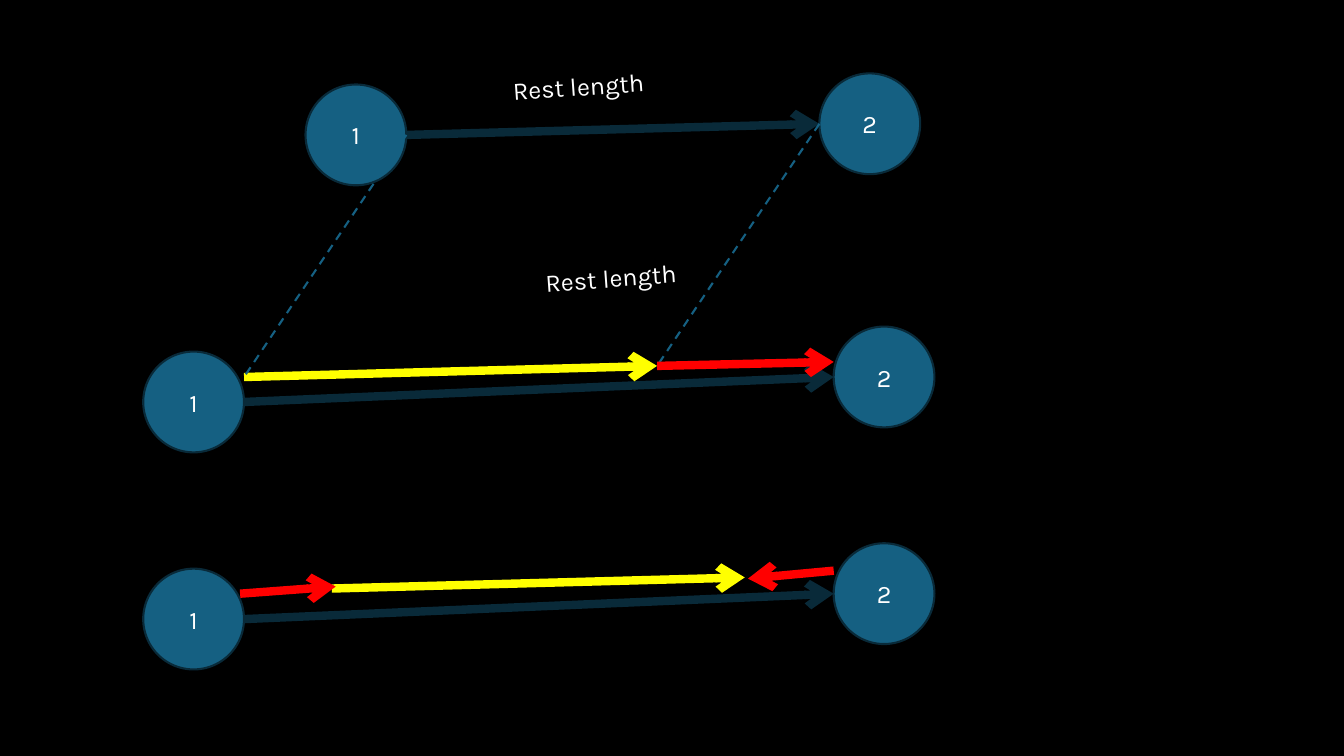
from lxml.etree import SubElement
from pptx import Presentation
from pptx.dml.color import RGBColor
from pptx.enum.dml import MSO_LINE
from pptx.enum.shapes import MSO_CONNECTOR, MSO_SHAPE
from pptx.enum.text import MSO_ANCHOR, MSO_AUTO_SIZE, PP_ALIGN
from pptx.oxml.ns import qn
from pptx.util import Cm, Pt

# Content: lengths in cm, nodes by their top left corner
BLACK, WHITE, BLUE, NAVY = "000000", "FFFFFF", "156082", "092A39"
YELLOW, RED = "FFFF00", "FF0000"
FONT = "Karla"
SIZE = 2.54
ROWS = [
    {"one": (7.7, 2.13), "two": (20.65, 1.85), "label": (12.67, 1.63)},
    {"one": (3.61, 8.86), "two": (21.01, 8.23), "label": (13.49, 6.45),
     "rest": (6.15, 9.5), "pulls": [(None, (21.01, 9.12))]},
    {"one": (3.61, 14.33), "two": (21.01, 13.69),
     "rest": (8.36, 14.83),
     "pulls": [((21.01, 14.38), (18.85, 14.58)),
               ((6.05, 14.96), (8.46, 14.78))]},
]
LABEL = "Rest length"
LABEL_W, LABEL_H, TILT = 4.78, 1.02, 355.9


def tint(code):
    return RGBColor.from_string(code)


def write(frame, text, align):
    frame.text = text
    para = frame.paragraphs[0]
    para.alignment = align
    font = para.runs[0].font
    font.name, font.size = FONT, Pt(18)
    font.color.rgb = tint(WHITE)


def add_node(spot, text):
    x, y = spot
    node = shapes.add_shape(MSO_SHAPE.OVAL, Cm(x), Cm(y), Cm(SIZE), Cm(SIZE))
    node.shadow.inherit = False
    node.fill.solid()
    node.fill.fore_color.rgb = tint(BLUE)
    node.line.color.rgb = tint(NAVY)
    node.line.width = Pt(1.5)
    node.text_frame.vertical_anchor = MSO_ANCHOR.MIDDLE
    write(node.text_frame, text, PP_ALIGN.CENTER)


def add_label(spot):
    x, y = spot
    box = shapes.add_textbox(Cm(x), Cm(y), Cm(LABEL_W), Cm(LABEL_H))
    box.rotation = TILT
    box.text_frame.word_wrap = True
    box.text_frame.auto_size = MSO_AUTO_SIZE.SHAPE_TO_FIT_TEXT
    write(box.text_frame, LABEL, PP_ALIGN.LEFT)


def add_line(start, end, color, dashed=False):
    ends = [Cm(v) for v in (*start, *end)]
    link = shapes.add_connector(MSO_CONNECTOR.STRAIGHT, *ends)
    link.line.color.rgb = tint(color)
    link.line.width = Pt(1.5 if dashed else 6)
    if dashed:
        link.line.dash_style = MSO_LINE.DASH
    else:
        SubElement(link.line._get_or_add_ln(), qn("a:tailEnd"), type="arrow")
    SubElement(link._element.spPr, qn("a:effectLst"))


def span(row):
    """Facing edges of the two nodes in a row."""
    (ax, ay), (bx, by) = row["one"], row["two"]
    return (ax + SIZE, ay + SIZE / 2), (bx, by + SIZE / 2)


# Slide
deck = Presentation()
deck.slide_width, deck.slide_height = Cm(33.87), Cm(19.05)
slide = deck.slides.add_slide(deck.slide_layouts[6])
slide.background.fill.solid()
slide.background.fill.fore_color.rgb = tint(BLACK)
shapes = slide.shapes

# The first row sets the rest length
top = span(ROWS[0])
shift = [b - a for a, b in zip(*top)]

for row in ROWS:
    add_node(row["two"], "2")
    add_node(row["one"], "1")
    if "label" in row:
        add_label(row["label"])
    add_line(*span(row), NAVY)
    if "rest" not in row:
        continue

    # Rest length, tied to the first row where it has a label
    tail = row["rest"]
    tip = [a + d for a, d in zip(tail, shift)]
    add_line(tail, tip, YELLOW)
    if "label" in row:
        for start, end in zip(top, (tail, tip)):
            add_line(start, end, BLUE, dashed=True)

    # Pulls; one without a start begins at the tip
    for start, end in row["pulls"]:
        add_line(start or tip, end, RED)

deck.save("out.pptx")
